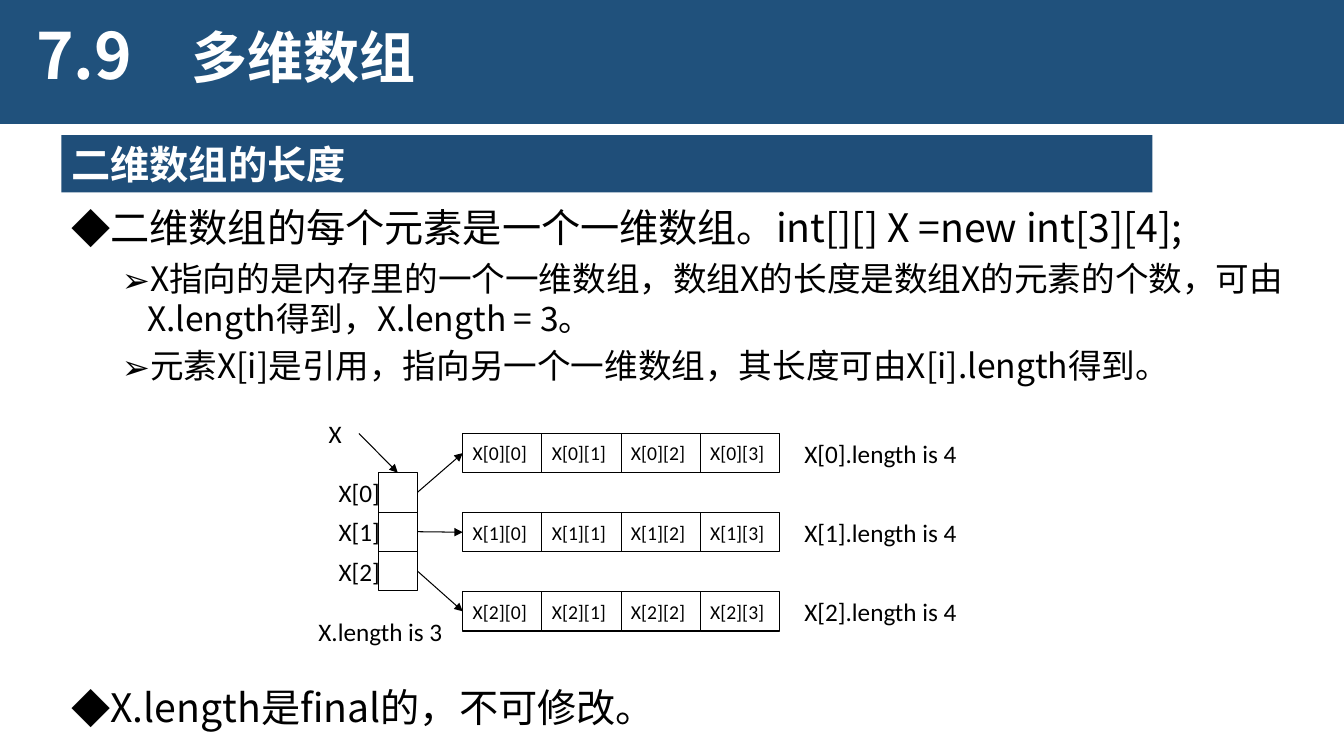
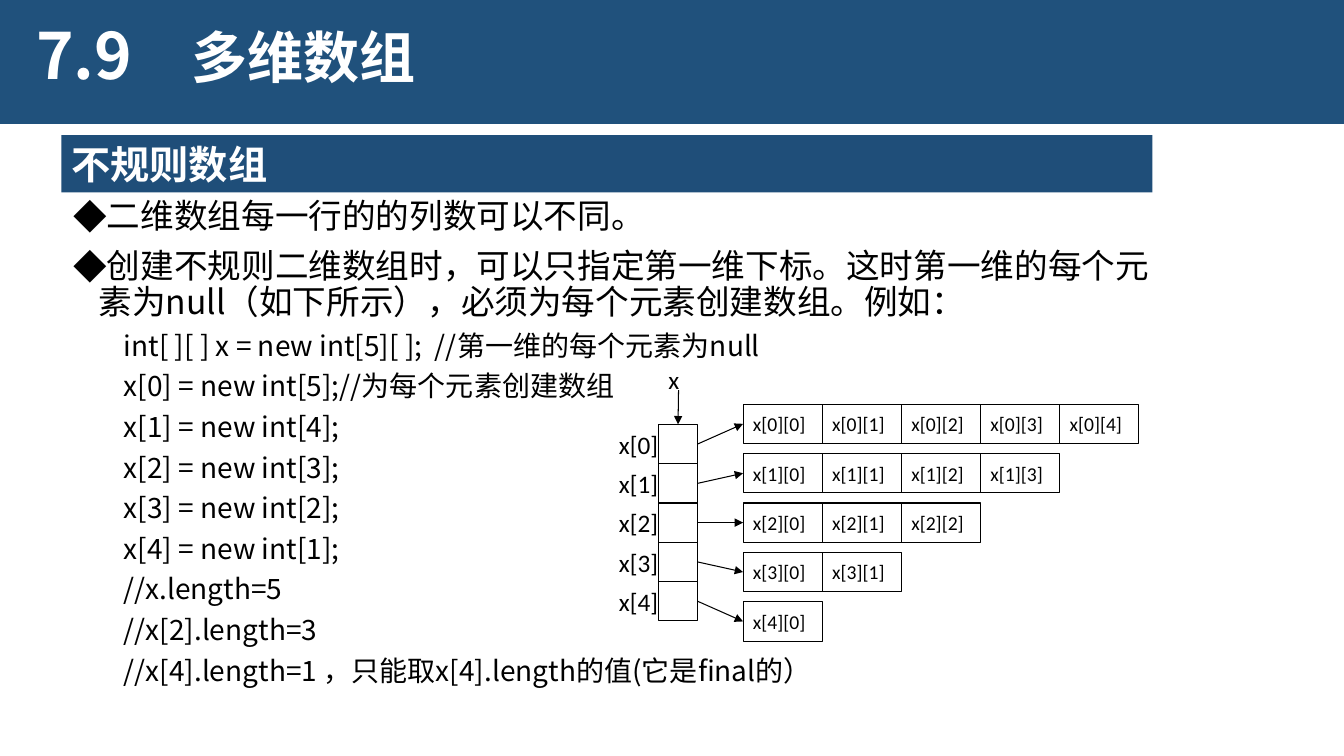
from lxml.etree import SubElement
from pptx import Presentation
from pptx.dml.color import RGBColor
from pptx.enum.shapes import MSO_CONNECTOR as Connector, MSO_SHAPE as Shape
from pptx.enum.text import MSO_ANCHOR as Anchor, MSO_AUTO_SIZE as AutoSize, PP_ALIGN as Align
from pptx.oxml.ns import qn
from pptx.util import Inches, Pt

# Shared look
BAND, HEADING, WHITE, BLACK = "20517C", "1F4E79", "FFFFFF", "000000"
CJK, LATIN = "Noto Sans CJK SC", "Calibri"
LINE_HEIGHT = 1.2
SLOT, CELL = 0.39, 0.785
BULLETS = {"diamond": "◆", "arrow": "➢"}


def rgb(value):
    return RGBColor.from_string(value)


def style(para, size, font=CJK, color=BLACK, bold=False, tight=1):
    para.alignment = Align.LEFT
    para.line_spacing = Pt(round(size * LINE_HEIGHT * tight, 1))
    for span in para.runs:
        span.font.size = Pt(size)
        span.font.bold = bold
        span.font.color.rgb = rgb(color)
        span.font.name = font
        SubElement(span.font._element, qn("a:ea"), typeface=font)


# Body boxes: left, top, width, height, then paragraphs (level, bullet, size, tightness, text)
slides = [
    {
        "heading": "二维数组的长度",
        "bodies": [
            ((0.61, 1.97, 12.32, 2), [
                (0, "diamond", 28, 1, "二维数组的每个元素是一个一维数组。int[][] X =new int[3][4];"),
                (1, "arrow", 24, 1, "X指向的是内存里的一个一维数组，数组X的长度是数组X的元素的个数，"
                                    "可由X.length得到，X.length = 3。"),
                (1, "arrow", 24, 1, "元素X[i]是引用，指向另一个一维数组，其长度可由X[i].length得到。"),
            ]),
            ((0.61, 6.73, 12.32, 0.57), [
                (0, "diamond", 28, 1, "X.length是final的，不可修改。"),
            ]),
        ],
        "name": "X", "name_at": (3.16, 4.1), "pointer": (3.56, 4.3),
        "slots": (3.75, 4.69), "rows": (4.59, 4.3), "row_pitch": 0.785,
        "lengths": [4, 4, 4],
        "labels": [(3.06, 6.07, 1.45, "X.length is 3")]
        + [(7.88, 4.3 + 0.785 * i, 1.83, f"X[{i}].length is 4") for i in range(3)],
    },
    {
        "heading": "不规则数组",
        "bodies": [
            ((0.63, 1.92, 10.96, 5.12), [
                (0, "diamond", 24, 0.9, "二维数组每一行的的列数可以不同。"),
                (0, "diamond", 24, 0.9, "创建不规则二维数组时，可以只指定第一维下标。这时第一维的每个元素为null"
                                        "（如下所示），必须为每个元素创建数组。例如："),
            ] + [(1, None, 20, 1, code) for code in (
                "int[ ][ ] x = new int[5][ ];  //第一维的每个元素为null",
                "x[0] = new int[5];//为每个元素创建数组",
                "x[1] = new int[4];",
                "x[2] = new int[3];",
                "x[3] = new int[2];",
                "x[4] = new int[1];",
                "//x.length=5",
                "//x[2].length=3",
                "//x[4].length=1 ，只能取x[4].length的值(它是final的）",
            )]),
        ],
        "name": "x", "name_at": (6.53, 3.57), "pointer": (6.73, 3.87),
        "slots": (6.53, 4.21), "rows": (7.37, 4.01), "row_pitch": 0.49,
        "lengths": [5, 4, 3, 2, 1],
        "labels": [],
    },
]

deck = Presentation()
deck.slide_width, deck.slide_height = Inches(13.33), Inches(7.5)
layout = deck.slide_layouts[5]

for number, content in enumerate(slides):
    page = deck.slides.add_slide(layout)

    # Top band, kept once on the layout behind the titles
    if number == 0:
        band = page.shapes.add_shape(Shape.RECTANGLE, Inches(-0.03), 0, Inches(13.36), Inches(1.23))
        band.shadow.inherit = False
        band.fill.solid()
        band.fill.fore_color.rgb = rgb(BAND)
        band.line.fill.background()
        layout.shapes.element.insert(2, band.element)

    # Title and section number
    title = page.shapes.title
    title.left, title.top, title.width, title.height = map(Inches, (1.8, 0.24, 8.09, 0.54))
    section = page.shapes.add_textbox(*map(Inches, (0.26, 0.18, 1.37, 0.91)))
    for box, text, size in ((title, "多维数组", 40), (section, "7.9", 45.6)):
        frame = box.text_frame
        frame.text = text
        frame.word_wrap = True
        frame.auto_size = AutoSize.NONE
        frame.vertical_anchor = Anchor.TOP
        style(frame.paragraphs[0], size, color=WHITE, bold=True, tight=0.9)

    # Heading bar
    heading = page.shapes.add_shape(Shape.RECTANGLE, *map(Inches, (0.61, 1.34, 10.82, 0.57)))
    heading.shadow.inherit = False
    heading.fill.solid()
    heading.fill.fore_color.rgb = rgb(HEADING)
    heading.line.fill.background()
    heading.text_frame.text = content["heading"]
    heading.text_frame.vertical_anchor = Anchor.TOP
    style(heading.text_frame.paragraphs[0], 28, color=WHITE, bold=True)

    # Body text
    for place, paragraphs in content["bodies"]:
        frame = page.shapes.add_textbox(*map(Inches, place)).text_frame
        frame.word_wrap = True
        for index, (level, bullet, size, tight, text) in enumerate(paragraphs):
            para = frame.add_paragraph() if index else frame.paragraphs[0]
            para.text = text
            para.level = level
            para.space_before = Pt(5 if level else 10)
            style(para, size, tight=tight)
            properties = para._p.get_or_add_pPr()
            properties.set("marL", str(Inches(0.75 if level else 0.25)))
            properties.set("indent", str(Inches(-0.25)))
            if bullet:
                SubElement(properties, qn("a:buFont"), typeface=CJK)
                SubElement(properties, qn("a:buChar"), char=BULLETS[bullet])
            else:
                SubElement(properties, qn("a:buNone"))

    # Array diagram: boxes as left, top, width, text, size, outlined
    diagram = page.shapes.add_group_shape()
    name = content["name"]
    slot_left, slot_top = content["slots"]
    row_left, row_top = content["rows"]
    boxes = [(*content["name_at"], SLOT, name, 18, False)]
    boxes += [(*label, 18, False) for label in content["labels"]]
    for i, length in enumerate(content["lengths"]):
        slot_y = slot_top + i * SLOT
        row_y = row_top + i * content["row_pitch"]
        boxes.append((slot_left - 0.49, slot_y, 0.55, f"{name}[{i}]", 18, False))
        boxes.append((slot_left, slot_y, SLOT, "", 18, True))
        boxes += [(row_left + j * CELL, row_y, CELL, f"{name}[{i}][{j}]", 14, True)
                  for j in range(length)]

    slots, first_cells = [], []
    for left, top, width, text, size, outlined in boxes:
        place = [Inches(value) for value in (left, top, width, SLOT)]
        if outlined:
            box = diagram.shapes.add_shape(Shape.RECTANGLE, *place)
            box.shadow.inherit = False
            box.fill.background()
            box.line.color.rgb = rgb(BLACK)
            box.line.width = Pt(0.75)
            if not text:
                slots.append(box)
            elif text.endswith("[0]"):
                first_cells.append(box)
        else:
            box = diagram.shapes.add_textbox(*place)
        if text:
            frame = box.text_frame
            frame.text = text
            frame.word_wrap = False
            frame.margin_right = 0
            frame.vertical_anchor = Anchor.MIDDLE
            style(frame.paragraphs[0], size, LATIN)

    # Reference arrows
    pointer_x, pointer_y = map(Inches, content["pointer"])
    arrows = [(None, slots[0], 0)] + [(slot, cell, 1) for slot, cell in zip(slots, first_cells)]
    for source, target, side in arrows:
        arrow = diagram.shapes.add_connector(
            Connector.STRAIGHT, pointer_x, pointer_y, target.left, target.top)
        if source is not None:
            arrow.begin_connect(source, 3)
        arrow.end_connect(target, side)
        arrow.line.color.rgb = rgb(BLACK)
        arrow.line.width = Pt(0.75)
        SubElement(arrow.line._get_or_add_ln(), qn("a:tailEnd"), type="triangle")
        SubElement(arrow._element.spPr, qn("a:effectLst"))

deck.save("out.pptx")
